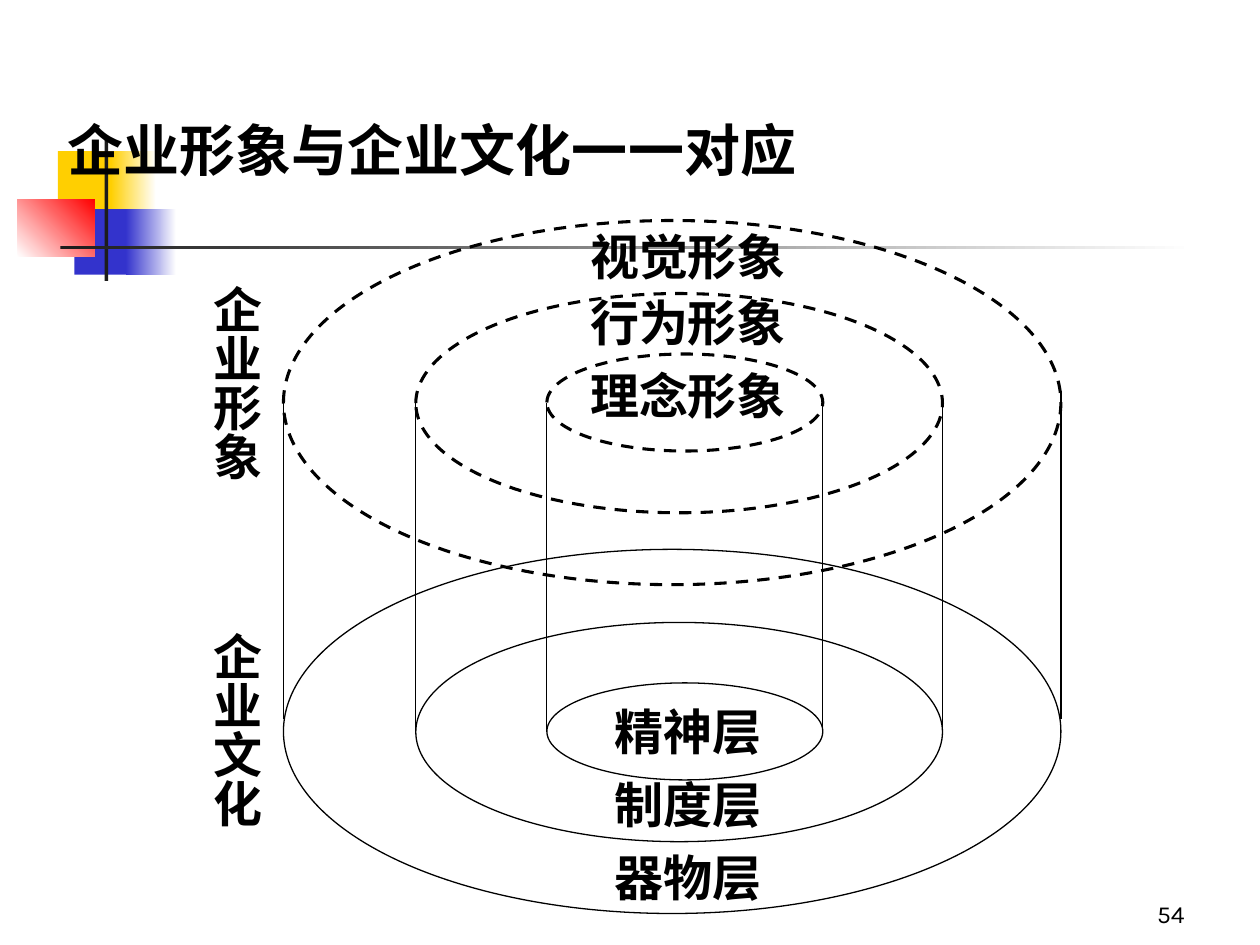
"""Build a slide that maps corporate image layers onto corporate culture layers."""
from lxml import etree
from pptx import Presentation
from pptx.dml.color import RGBColor
from pptx.enum.dml import MSO_LINE
from pptx.enum.shapes import MSO_CONNECTOR, MSO_SHAPE
from pptx.enum.text import MSO_ANCHOR, PP_ALIGN
from pptx.oxml.ns import qn
from pptx.util import Inches, Pt

RECT, OVAL = MSO_SHAPE.RECTANGLE, MSO_SHAPE.OVAL
STRAIGHT = MSO_CONNECTOR.STRAIGHT
DASH, SOLID = MSO_LINE.DASH, MSO_LINE.SOLID
TOP, BOTTOM = MSO_ANCHOR.TOP, MSO_ANCHOR.BOTTOM
LEFT, CENTER, RIGHT = PP_ALIGN.LEFT, PP_ALIGN.CENTER, PP_ALIGN.RIGHT
BLACK = "000000"
SERIF = "Times New Roman"


def color(value):
    return RGBColor.from_string(value)


def add_text(text, box, size, font=SERIF, bold=True, align=CENTER, anchor=TOP, vertical=False):
    tf = s.shapes.add_textbox(*map(Inches, box)).text_frame
    margin = Inches(0.05)
    frame = {"word_wrap": True, "vertical_anchor": anchor,
             "margin_top": margin, "margin_bottom": margin}
    if vertical:
        frame.update(margin_left=margin, margin_right=margin)
        tf._txBody.bodyPr.set("vert", "eaVert")
    for name, value in frame.items():
        setattr(tf, name, value)
    p = tf.paragraphs[0]
    p.alignment = align
    r = p.add_run()
    r.text = text
    for name, value in {"name": font, "size": Pt(size), "bold": bold}.items():
        setattr(r.font, name, value)
    r.font.color.rgb = color(BLACK)


prs = Presentation()
prs.slide_width, prs.slide_height = Inches(10), Inches(7.5)
s = prs.slides.add_slide(prs.slide_layouts[6])

ornaments = [
    ((0.46, 1.2, 0.48, 0.52), ["FFCF01"], 0),
    ((0.88, 1.2, 0.36, 0.52), ["FFCF01", "FFFFFF"], 0),
    ((0.59, 1.66, 0.46, 0.52), ["3333CC"], 0),
    ((1, 1.66, 0.4, 0.52), ["3333CC", "FFFFFF"], 0),
    ((0.14, 1.58, 0.61, 0.46), ["FFFFFF", "FF0000"], 45),
    ((0.83, 1.08, 0.03, 1.15), ["1C1C1C"], 0),
    ((0.48, 1.95, 9, 0.03), ["1C1C1C", "FFFFFF"], 0),
]
for box, colors, angle in ornaments:
    sp = s.shapes.add_shape(RECT, *map(Inches, box))
    sp.shadow.inherit = False
    sp.line.fill.background()
    if len(colors) == 1:
        sp.fill.solid()
        sp.fill.fore_color.rgb = color(colors[0])
    else:
        sp.fill.gradient()
        sp.fill.gradient_angle = angle
        for stop, value in zip(sp.fill.gradient_stops, colors):
            stop.color.rgb = color(value)

add_text("54", (7.42, 6.92, 2.08, 0.5), 14, "Karla", False, RIGHT, BOTTOM)
add_text("企业形象与企业文化一一对应", (0.44, 0.25, 8.5, 1.25), 32, align=LEFT, anchor=BOTTOM)

DROP = 2.61
rings = [(2.25, 1.75, 6.17, 2.89, 3.1), (3.3, 2.33, 4.18, 1.74, 3.2), (4.34, 2.81, 2.19, 0.77, 3.2)]
for left, top, width, height, side_top in rings:
    for y, weight, dash in [(top, 1.75, DASH), (top + DROP, 0.75, SOLID)]:
        sp = s.shapes.add_shape(OVAL, *map(Inches, (left, y, width, height)))
        sp.shadow.inherit = False
        sp.fill.background()
        sp.line.color.rgb = color(BLACK)
        sp.line.width = Pt(weight)
        sp.line.dash_style = dash
    for x in (left, left + width):
        side = s.shapes.add_connector(STRAIGHT, *map(Inches, (x, side_top, x, side_top + DROP)))
        side.line.color.rgb = color(BLACK)
        side.line.width = Pt(0.75)
        etree.SubElement(side._element.spPr, qn("a:effectLst"))

layers = [("视觉形象", 1.75), ("行为形象", 2.27), ("理念形象", 2.85),
          ("精神层", 5.52), ("制度层", 6.1), ("器物层", 6.68)]
for text, top in layers:
    add_text(text, (4.5, top, 1.92, 0.57), 28)
for text, top in [("企业形象", 2.17), ("企业文化", 4.92)]:
    add_text(text, (1.5, top, 0.66, 1.75), 28, vertical=True)

prs.save("out.pptx")
